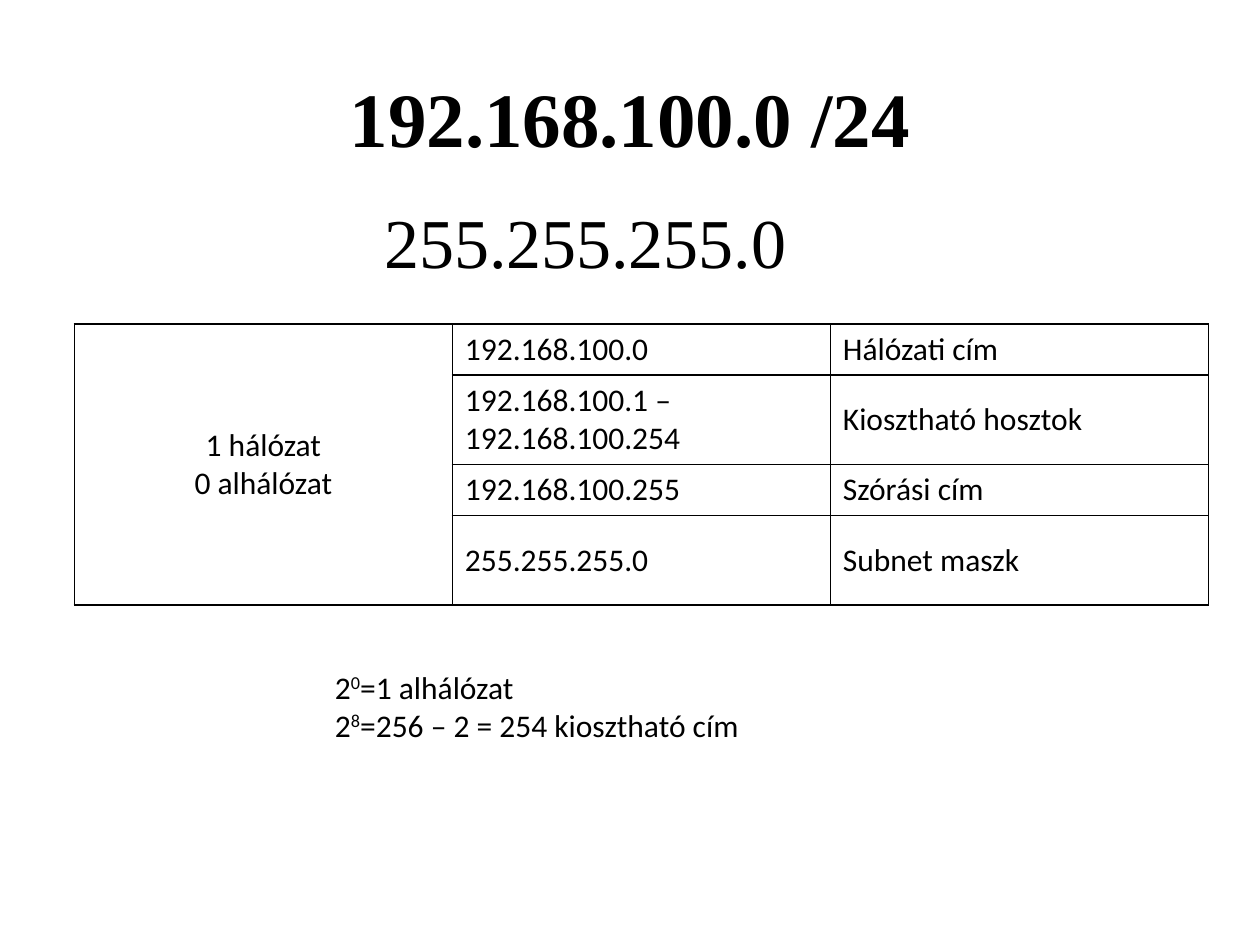
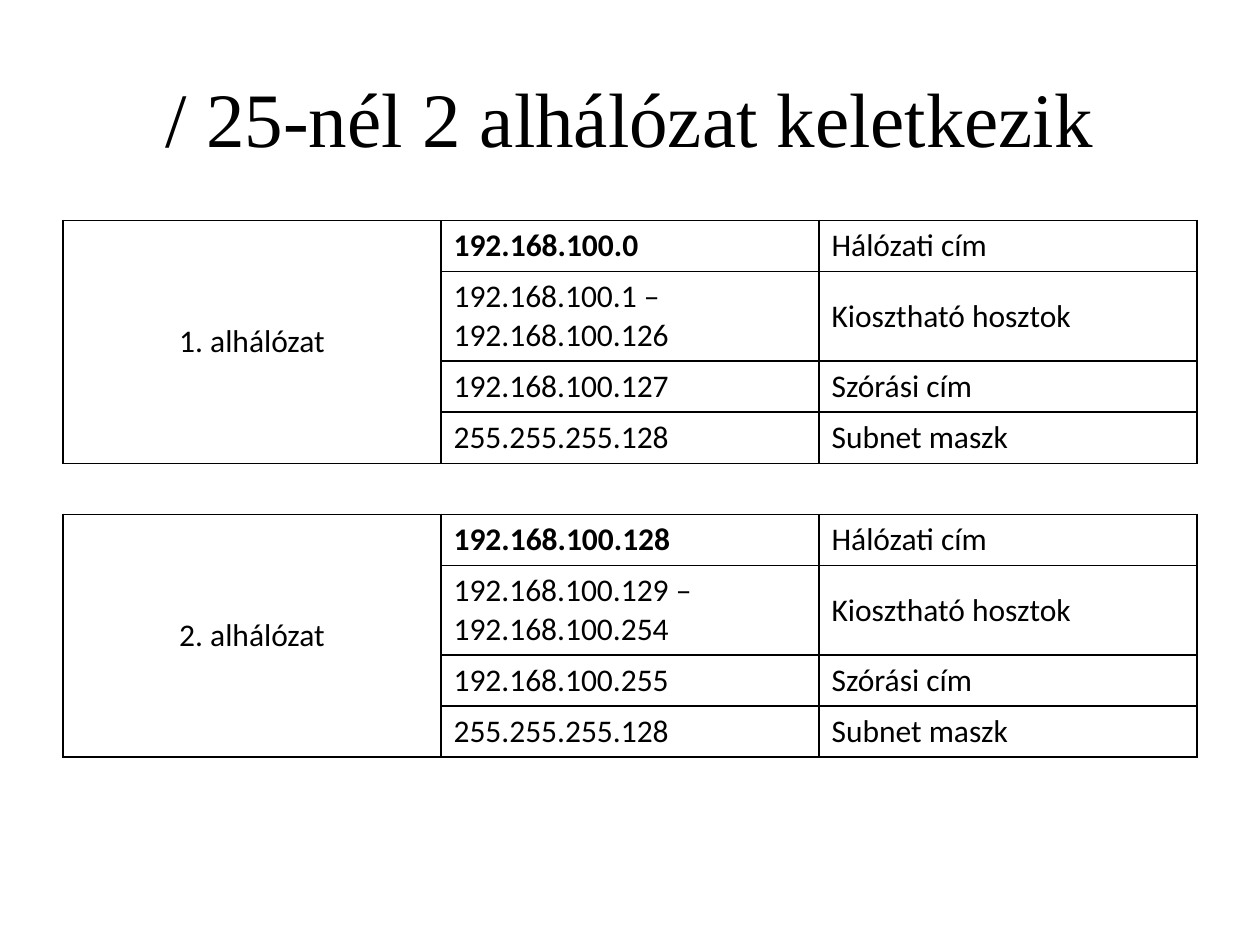
from lxml import etree
from pptx import Presentation
from pptx.dml.color import RGBColor
from pptx.enum import text
from pptx.oxml import ns
from pptx.util import Inches, Pt

BLACK = RGBColor(0x00, 0x00, 0x00)
BODY_FONT = "Calibri"
HEAD_FONT = "Times New Roman"
COL_W = 3
LINE_H, TWO_LINE_H = 0.4, 0.7
ROLES = ["Hálózati cím", "Kiosztható hosztok", "Szórási cím", "Subnet maszk"]
LEFT, CENTER = text.PP_ALIGN.LEFT, text.PP_ALIGN.CENTER


def write(tf, content, size=18, font=BODY_FONT, bold=False, align=LEFT):
    """Fill a text frame, one paragraph a line; text between ^ marks is superscript."""
    for i, line in enumerate(content.split("\n")):
        p = tf.paragraphs[0] if i == 0 else tf.add_paragraph()
        p.alignment = align
        for j, part in enumerate(line.split("^")):
            r = p.add_run()
            r.text = part
            r.font.name, r.font.size, r.font.bold = font, Pt(size), bold
            r.font.color.rgb = BLACK
            if j % 2:
                r._r.get_or_add_rPr().set("baseline", "30000")


def border(cell, visible):
    """Draw the given sides of a cell in black and clear the others."""
    tcPr = cell._tc.get_or_add_tcPr()
    for side in "LRTB":
        ln = etree.SubElement(tcPr, ns.qn(f"a:ln{side}"), w=str(Pt(1)))
        if side in visible:
            fill = etree.SubElement(ln, ns.qn("a:solidFill"))
            etree.SubElement(fill, ns.qn("a:srgbClr"), val=str(BLACK))
        else:
            etree.SubElement(ln, ns.qn("a:noFill"))
    cell.fill.background()


prs = Presentation()
prs.slide_width, prs.slide_height = Inches(10), Inches(7.5)

# Each network: name, then its addresses in the order of ROLES
slides = [
    dict(title="192.168.100.0 /24", title_bold=True, left=0.59, top=2.57,
         first_bold=False, heights=[LINE_H, TWO_LINE_H, LINE_H, TWO_LINE_H],
         networks=[("1 hálózat\n0 alhálózat",
                    ["192.168.100.0", "192.168.100.1 –\n192.168.100.254",
                     "192.168.100.255", "255.255.255.0"])]),
    dict(title="/ 25-nél 2 alhálózat keletkezik", title_bold=False, left=0.5, top=1.75,
         first_bold=True, heights=[LINE_H, TWO_LINE_H, LINE_H, LINE_H],
         networks=[("1. alhálózat",
                    ["192.168.100.0", "192.168.100.1 –\n192.168.100.126",
                     "192.168.100.127", "255.255.255.128"]),
                   ("2. alhálózat",
                    ["192.168.100.128", "192.168.100.129 –\n192.168.100.254",
                     "192.168.100.255", "255.255.255.128"])]),
]

for data in slides:
    s = prs.slides.add_slide(prs.slide_layouts[5])
    title = s.shapes.title
    title.left, title.top = Inches(0.5), Inches(0.3)
    title.width, title.height = Inches(9), Inches(1.25)
    title.text_frame.vertical_anchor = text.MSO_ANCHOR.MIDDLE
    write(title.text_frame, data["title"], size=44, font=HEAD_FONT,
          bold=data["title_bold"], align=CENTER)

    # Blocks of four rows, with one empty row between blocks
    block = len(ROLES) + 1
    heights = ((data["heights"] + [LINE_H]) * len(data["networks"]))[:-1]
    table = s.shapes.add_table(len(heights), 3, Inches(data["left"]), Inches(data["top"]),
                               Inches(3 * COL_W), Inches(sum(heights))).table
    table.first_row = table.horz_banding = False
    for col in table.columns:
        col.width = Inches(COL_W)
    for i, height in enumerate(heights):
        table.rows[i].height = Inches(height)
        is_gap = i % block == len(ROLES)
        for cell in table.rows[i].cells:
            cell.vertical_anchor = text.MSO_ANCHOR.MIDDLE
            border(cell, "TB" if is_gap else "LRTB")

    for n, (name, addresses) in enumerate(data["networks"]):
        first = n * block
        table.cell(first, 0).merge(table.cell(first + len(ROLES) - 1, 0))
        write(table.cell(first, 0).text_frame, name, align=CENTER)
        for i, (address, role) in enumerate(zip(addresses, ROLES)):
            write(table.cell(first + i, 1).text_frame, address,
                  bold=data["first_bold"] and i == 0)
            write(table.cell(first + i, 2).text_frame, role)

# Mask and address count on the first slide
notes = [
    ((2.95, 1.53, 3.78, 0.77), "255.255.255.0", dict(size=40, font=HEAD_FONT)),
    ((2.56, 5.25, 4.33, 0.71),
     "2^0^=1 alhálózat\n2^8^=256 – 2 = 254 kiosztható cím", {}),
]
for box, content, style in notes:
    tf = prs.slides[0].shapes.add_textbox(*map(Inches, box)).text_frame
    tf.word_wrap = True
    write(tf, content, **style)

prs.save("out.pptx")
